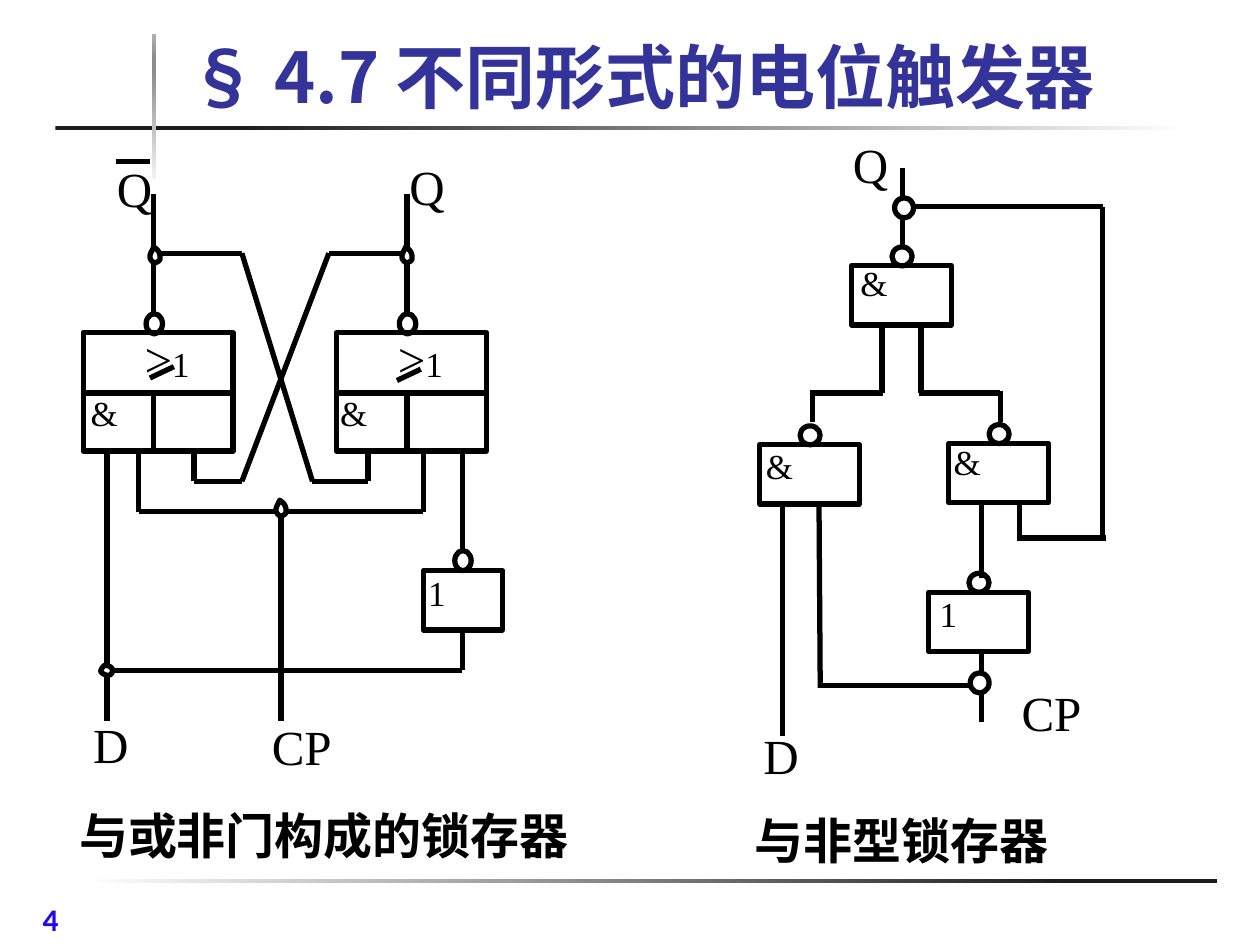
from copy import deepcopy
from itertools import pairwise

from pptx import Presentation
from pptx.dml.color import RGBColor
from pptx.enum.shapes import MSO_CONNECTOR, MSO_SHAPE
from pptx.enum.text import MSO_ANCHOR
from pptx.oxml.ns import qn
from pptx.util import Inches, Pt
from lxml.etree import SubElement

CJK, SERIF, SANS = "Noto Sans CJK SC", "Times New Roman", "Calibri"
BLACK, WHITE = "000000", "FFFFFF"


def rgb(value):
    return RGBColor.from_string(value)


class Board:
    """Style and drawing methods for the current slide."""

    def __init__(self, slide):
        self.slide = slide
        self.shapes = slide.shapes

    def group(self):
        self.shapes = self.slide.shapes.add_group_shape().shapes

    def outline(self, s, fill=None):
        s.shadow.inherit = False
        if fill:
            s.fill.solid()
            s.fill.fore_color.rgb = rgb(fill)
        else:
            s.fill.background()
        s.line.color.rgb = rgb(BLACK)
        s.line.width = Pt(3)

    def shape(self, x, y, w, h, kind=MSO_SHAPE.RECTANGLE, fill=None):
        s = self.shapes.add_shape(kind, *map(Inches, (x, y, w, h)))
        self.outline(s, fill)

    def circle(self, x, y, w=0.16, h=0.15, fill=None):
        self.shape(x, y, w, h, MSO_SHAPE.OVAL, fill)

    def bar(self, x, y, w, h, angle, stops):
        s = self.shapes.add_shape(MSO_SHAPE.RECTANGLE, *map(Inches, (x, y, w, h)))
        s.shadow.inherit = False
        s.line.fill.background()
        s.fill.gradient()
        s.fill.gradient_angle = angle
        gs = s._element.spPr.find(qn("a:gradFill")).find(qn("a:gsLst"))
        for _ in stops[2:]:
            gs.append(deepcopy(gs[0]))
        for stop, (position, color) in zip(s.fill.gradient_stops, stops):
            stop.position = position
            stop.color.rgb = rgb(color)

    def wire(self, *points):
        for start, end in pairwise(points):
            c = self.shapes.add_connector(
                MSO_CONNECTOR.STRAIGHT, *map(Inches, (*start, *end)))
            c.line.color.rgb = rgb(BLACK)
            c.line.width = Pt(3)
            SubElement(c._element.spPr, qn("a:effectLst"))

    def drop(self, x, y, curves):
        """Closed outline of cubic curves, given relative to (x, y)."""
        points, start = [], (0, 0)
        for curve in curves:
            knots = (start, *curve)
            for t in (i / 6 for i in range(1, 7)):
                weights = ((1 - t) ** 3, 3 * t * (1 - t) ** 2, 3 * t * t * (1 - t), t ** 3)
                points.append([Inches(o + sum(w * k[axis] for w, k in zip(weights, knots)))
                               for axis, o in enumerate((x, y))])
            start = curve[-1]
        builder = self.shapes.build_freeform(Inches(x), Inches(y))
        builder.add_line_segments(points, close=True)
        self.outline(builder.convert_to_shape(), WHITE)

    def text(self, x, y, w, h, *runs, font=SERIF, color=BLACK, bold=False,
             wrap=False, anchor=MSO_ANCHOR.TOP):
        tf = self.shapes.add_textbox(*map(Inches, (x, y, w, h))).text_frame
        tf.word_wrap = wrap
        tf.vertical_anchor = anchor
        p = tf.paragraphs[0]
        p.font.bold = bold
        p.font.name = font
        p.font.color.rgb = rgb(color)
        for content, size in runs:
            r = p.add_run()
            r.text = content
            r.font.size = Pt(size)
            r.font.name = font
            if font == CJK:
                SubElement(r.font._element, qn("a:ea")).set("typeface", font)

    def pin(self, x, y, name):
        self.text(x, y, 0.3 + 0.2 * len(name), 0.57, (name, 28))

    def symbol(self, x, y, name):
        self.text(x, y, 0.51, 0.43, (name, 20), wrap=True)


prs = Presentation()
prs.slide_width, prs.slide_height = Inches(10), Inches(7.5)
board = Board(prs.slides.add_slide(prs.slide_layouts[6]))

# Decorative bars
board.bar(0.66, 6.98, 9, 0.03, 0, [(0, WHITE), (0.87, "1C1C1C")])
board.bar(0.44, 1, 9, 0.03, 0, [(0.16, "1C1C1C"), (1, WHITE)])
board.bar(1.21, 0.27, 0.03, 1.15, 90,
          [(0, "F2F2F2"), (0.74, "8C8C8C"), (0.83, "8C8C8C"), (1, "B2B2B2")])

# Title, page number and captions
board.text(1.4, 0.34, 8.6, 0.64, ("§ 4.7 不同形式的电位触发器", 40), font=CJK,
           color="333399", bold=True, wrap=True, anchor=MSO_ANCHOR.BOTTOM)
board.text(0.24, 7.09, 0.99, 0.37, ("4", 18), font=SANS, color="1F08F8", bold=True, wrap=True)
for x, y, w, caption in ((0.53, 6.34, 4.34, "与或非门构成的锁存器"),
                         (5.89, 6.38, 3.05, "与非型锁存器")):
    board.text(x, y, w, 0.57, (caption, 28), font=CJK, bold=True,
               anchor=MSO_ANCHOR.MIDDLE)

# Left circuit: the two AND-OR-NOT gates
board.group()
for x, slash_x, slash_y, and_x in ((0.66, 1.19, 3, 0.62), (2.67, 3.15, 3.02, 2.6)):
    board.shape(x, 2.64, 1.19, 0.94)
    board.wire((x, 3.12), (x + 1.19, 3.12))
    board.wire((x + 0.56, 3.12), (x + 0.56, 3.59))
    board.circle(x + 0.5, 2.49, 0.13, 0.16)
    board.wire((x + 0.56, 2.49), (x + 0.56, 1.54))
    board.text(x + 0.39, 2.56, 0.6, 0.57, (">", 28), ("1", 20))
    board.wire((slash_x + 0.19, slash_y - 0.09), (slash_x, slash_y))
    board.symbol(and_x, 3.06, "&")

# Left circuit: inverter and wires
board.shape(3.36, 4.53, 0.63, 0.47)
board.circle(3.61, 4.37, 0.13, 0.16)
board.symbol(3.3, 4.49, "1")
for points in (
    [(1.23, 2.01), (1.92, 2.01), (2.48, 3.82), (2.92, 3.82), (2.92, 3.59)],
    [(3.23, 2.01), (2.61, 2.01), (1.92, 3.82), (1.54, 3.82), (1.54, 3.59)],
    [(1.1, 3.59), (1.1, 4.06), (3.36, 4.06), (3.36, 3.59)],
    [(3.67, 4.37), (3.67, 3.59)],
    [(2.23, 4.06), (2.23, 5.72)],
    [(0.85, 3.59), (0.85, 5.72)],
    [(3.67, 5.01), (3.67, 5.32), (0.85, 5.32)],
    [(0.92, 1.28), (1.19, 1.28)],
):
    board.wire(*points)

# Left circuit: junctions and pins
TALL = [[(0.01, -0.01), (0.03, -0.01), (0.04, -0.03)],
        [(0.05, -0.1), (0, -0.12), (-0.01, -0.13)],
        [(-0.02, -0.1), (-0.04, -0.08), (-0.04, -0.05)],
        [(-0.04, -0.02), (0, 0), (0, 0)]]
WIDE = [[(0.01, 0), (0.03, 0), (0.04, -0.02)],
        [(0.06, -0.07), (0, -0.08), (-0.02, -0.08)],
        [(-0.03, -0.07), (-0.05, -0.05), (-0.05, -0.03)],
        [(-0.04, -0.01), (0, 0), (0, 0)]]
for x, y, curves in ((0.85, 5.36, WIDE), (2.23, 4.1, TALL), (3.23, 2.09, TALL), (1.23, 2.09, TALL)):
    board.drop(x, y, curves)
for x, y, name in ((3.15, 1.19, "Q"), (0.83, 1.21, "Q"), (0.64, 5.62, "D"), (2.06, 5.64, "CP")):
    board.pin(x, y, name)

# Right circuit: wires
board.group()
for points in (
    [(6.45, 3.35), (6.45, 3.12)],
    [(6.43, 3.12), (7.01, 3.12)],
    [(7, 3.12), (7, 2.57)],
    [(7.94, 3.35), (7.94, 3.1)],
    [(7.94, 3.12), (7.29, 3.12)],
    [(7.31, 3.12), (7.31, 2.57)],
    [(7.79, 4.59), (7.79, 3.97)],
    [(7.79, 5.19), (7.79, 5.73)],
    [(6.21, 3.98), (6.21, 5.84)],
    [(6.5, 3.99), (6.51, 5.46)],
    [(6.51, 5.44), (7.77, 5.44)],
    [(7.16, 1.95), (7.16, 1.33)],
    [(8.09, 3.97), (8.09, 4.28)],
    [(8.07, 4.27), (8.78, 4.27)],
    [(8.75, 4.28), (8.75, 1.64), (7.16, 1.64)],
):
    board.wire(*points)

# Right circuit: gates, junctions and pins
for x, y, name, name_x, name_y in ((6.76, 2.11, "&", 6.73, 2.03), (6.03, 3.53, "&", 5.98, 3.48),
                                   (7.53, 3.52, "&", 7.47, 3.45), (7.37, 4.7, "1", 7.36, 4.65)):
    board.shape(x, y, 0.79, 0.47)
    board.circle(x + 0.32, y - 0.15)
    board.symbol(name_x, name_y, name)
for x, y in ((7.1, 1.57), (7.7, 5.34)):
    board.circle(x, y, 0.15, 0.16, WHITE)
for x, y, name in ((6.67, 1.02, "Q"), (8.01, 5.37, "CP"), (5.96, 5.71, "D")):
    board.pin(x, y, name)

prs.save("out.pptx")
